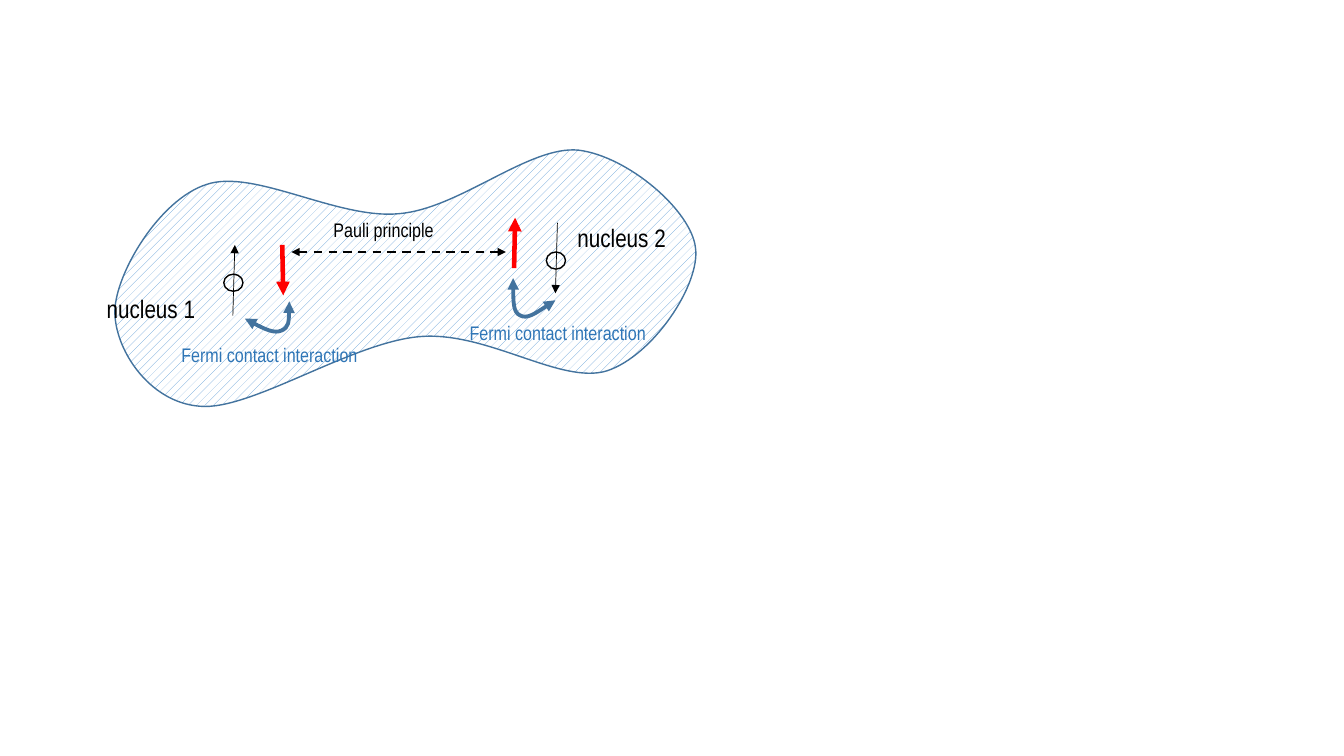
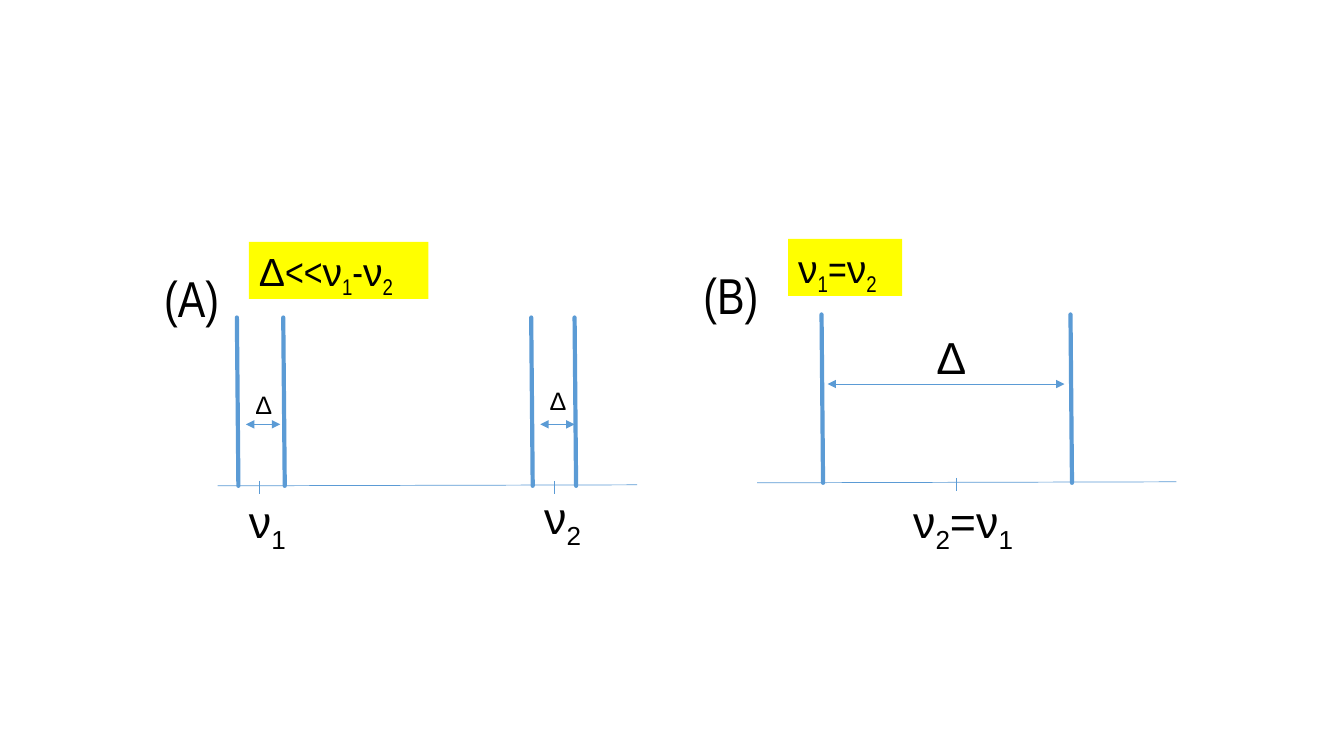
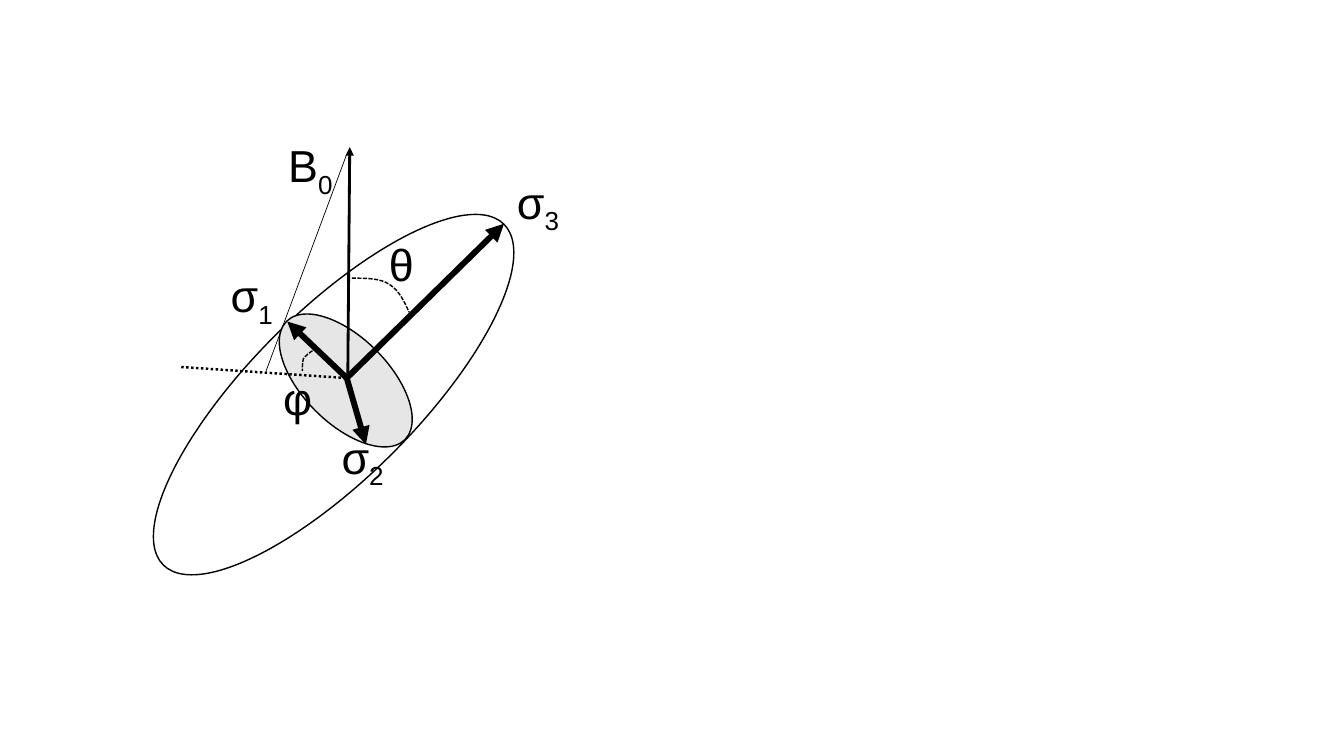
from lxml.etree import SubElement
from pptx import Presentation
from pptx.dml.color import RGBColor
from pptx.enum.dml import MSO_LINE, MSO_PATTERN
from pptx.enum.shapes import MSO_CONNECTOR, MSO_SHAPE
from pptx.enum.text import MSO_AUTO_SIZE
from pptx.oxml.ns import qn
from pptx.util import Inches, Pt

BLACK = RGBColor(0x00, 0x00, 0x00)
WHITE = RGBColor(0xFF, 0xFF, 0xFF)
RED = RGBColor(0xFF, 0x00, 0x00)
BLUE = RGBColor(0x5B, 0x9B, 0xD5)
STEEL = RGBColor(0x43, 0x73, 0x9E)
OCEAN = RGBColor(0x2E, 0x75, 0xB6)
YELLOW = RGBColor(0xFF, 0xFF, 0x00)
GREY = RGBColor(0xE7, 0xE6, 0xE6)

SANS = "Arial"
SLIM = "Arial Narrow"


def cell(count):
    """Length of grid cells; one cell is a tenth of an inch."""
    return Inches(count / 10)


def low(text, font=SANS):
    """A subscript run."""
    return text, font, True


class Deck:
    def __init__(self):
        self.prs = Presentation()
        self.prs.slide_width = cell(133.33)
        self.prs.slide_height = cell(75)

    def page(self):
        blank = self.prs.slide_layouts[6]
        self.shapes = self.prs.slides.add_slide(blank).shapes

    def pen(self, line, color, width, dash=None, ends="", cap="flat"):
        """Format an outline; ends names the arrowheads."""
        line.fill.solid()
        line.fill.fore_color.rgb = color
        line.width = Pt(width)
        if dash:
            line.dash_style = dash
        form = line._get_or_add_ln()
        form.set("cap", cap)
        for end in ends.split():
            SubElement(form, qn(f"a:{end}End"), type="triangle")

    def line(self, x1, y1, x2, y2, color=BLACK, width=0.5, **style):
        item = self.shapes.add_connector(
            MSO_CONNECTOR.STRAIGHT, cell(x1), cell(y1), cell(x2), cell(y2))
        self.pen(item.line, color, width, **style)
        SubElement(item._element.spPr, qn("a:effectLst"))

    def oval(self, x, y, w, h, turn=0, fill=None):
        item = self.shapes.add_shape(
            MSO_SHAPE.OVAL, cell(x), cell(y), cell(w), cell(h))
        item.shadow.inherit = False
        item.rotation = turn
        if fill:
            item.fill.solid()
            item.fill.fore_color.rgb = fill
        else:
            item.fill.background()
        self.pen(item.line, BLACK, 1)

    def curve(self, knots, color, width, close=False, **style):
        """Knots are a start, then two handles and an end for each arc."""
        dots = [(cell(x), cell(y)) for x, y in knots]
        path = self.shapes.build_freeform(*dots[0])
        path.add_line_segments(dots[3::3], close=close)
        item = path.convert_to_shape()
        # Bend each straight segment with its two handles
        for i, part in enumerate(list(item._element.iter(qn("a:lnTo")))):
            part.tag = qn("a:cubicBezTo")
            for n, (x, y) in enumerate(dots[3 * i + 1:3 * i + 3]):
                grip = SubElement(part, qn("a:pt"),
                                  x=str(x - item.left), y=str(y - item.top))
                part.insert(n, grip)
        item.shadow.inherit = False
        item.fill.background()
        self.pen(item.line, color, width, **style)
        return item

    def text(self, x, y, w, size, *runs, color=BLACK, wrap=False, fill=None):
        """Runs are (text, font) pairs or subscripts; size sets the height."""
        item = self.shapes.add_textbox(cell(x), cell(y), cell(w), cell(size / 6 + 1))
        if fill:
            item.fill.solid()
            item.fill.fore_color.rgb = fill
        frame = item.text_frame
        frame.word_wrap = wrap
        frame.auto_size = MSO_AUTO_SIZE.SHAPE_TO_FIT_TEXT
        for words, font, *sub in runs:
            run = frame.paragraphs[0].add_run()
            run.text = words
            run.font.name = font
            run.font.size = Pt(size)
            run.font.color.rgb = color
            if sub:
                run._r.get_or_add_rPr().set("baseline", "-25000")

    # Parts of the drawings
    def spin(self, x, y, way):
        """A nucleus with its spin: way is 1 for up, -1 for down."""
        self.line(x - 0.1 * way, y + 3.5 * way, x + 0.1 * way, y - 3.5 * way,
                  ends="tail")
        self.oval(x - 1, y - 0.6, 1.9, 1.7)

    def panel(self, x, y, mark, width, rule, peaks, ticks):
        """A spectrum whose axis starts at x, y; the rest is relative."""
        self.line(x, y, x + 41.6, y - 0.1, BLUE)
        for dx in peaks:
            self.line(x + dx, y - 16.7, x + dx + 0.15, y, BLUE, 3, cap="rnd")
        for dx in ticks:
            self.line(x + dx, y - 0.5, x + dx, y + 0.8, BLUE)
        self.text(x - 6.3, y - 22.2, 8.8, 36, (mark, SLIM))
        self.text(x + 3.1, y - 24.2, width, 28, *rule, wrap=True, fill=YELLOW)

    def gap(self, x1, x2, y):
        self.line(x1, y, x2, y, BLUE, ends="head tail")


def pauli(deck):
    deck.page()
    # Electron cloud
    cloud = deck.curve(
        [(57.4, 14.9), (62.3, 15.5), (68.6, 20.9), (69, 24.6),
         (69.5, 28.2), (64.8, 35.3), (60.2, 36.8),
         (55.6, 38.2), (48.3, 32.8), (41.6, 33.4),
         (34.8, 34), (24.8, 40.8), (19.8, 40.3),
         (14.7, 39.9), (11.3, 34.5), (11.4, 30.8),
         (11.5, 27.1), (15.8, 19.8), (20.5, 18.3),
         (25.2, 16.7), (33.5, 21.8), (39.6, 21.2),
         (45.6, 20.7), (52.5, 14.4), (57.4, 14.9)], STEEL, 1, close=True)
    cloud.fill.patterned()
    cloud.fill.pattern = MSO_PATTERN.PERCENT_20
    cloud.fill.fore_color.rgb = BLUE
    cloud.fill.back_color.rgb = WHITE
    # Nuclei and electrons
    deck.spin(23.2, 27.8, 1)
    deck.spin(55.2, 25.6, -1)
    for x, y, name in ((9.6, 28.6, "nucleus 1"), (56.3, 21.6, "nucleus 2")):
        deck.text(x, y, 12.8, 18, (name, SLIM))
    for x, y, end in ((51, 26.6, 21.6), (28, 24.3, 29.3)):
        deck.line(x, y, x + 0.1, end, RED, 3.25, ends="tail")
    # Interactions
    deck.line(28.9, 25, 50.2, 25, width=1.5, dash=MSO_LINE.DASH, ends="head tail")
    for knots in (
            [(24.3, 31.6), (25.7, 32.4), (27.2, 33.1), (27.9, 32.8),
             (28.7, 32.5), (28.7, 31.2), (28.7, 29.9)],
            [(55.1, 29.8), (53.7, 30.7), (52.3, 31.7), (51.6, 31.3),
             (50.9, 31), (50.9, 29.3), (50.9, 27.6)]):
        deck.curve(knots, STEEL, 2.75, ends="head tail")
    for x, y in ((17, 33.5), (45.6, 31.3)):
        deck.text(x, y, 23.8, 14, ("Fermi contact interaction", SLIM),
                  color=OCEAN, wrap=True)
    deck.text(32.1, 21.1, 15.6, 14, ("Pauli principle", SLIM), wrap=True)


def spectra(deck):
    deck.page()
    nu = ("ν", SANS)
    one, two = low("1", SLIM), low("2", SLIM)
    # Weak coupling
    deck.panel(21.6, 48.2, "(A)", 17.8,
               [("Δ", SANS), ("<<", SLIM), nu, one, ("-", SLIM), nu, two],
               peaks=(1.9, 6.5, 31.1, 35.4), ticks=(4.1, 33.4))
    for x, y, foot, top, num in ((24.4, 38.1, 23.7, 48.5, "1"),
                                 (53.6, 37.7, 53, 48.1, "2")):
        deck.gap(x, x + 3.4, 42.1)
        deck.text(x - 0.05, y, 3.6, 18, ("Δ", SANS))
        deck.text(foot, top, 5.8, 32, nu, low(num))
    # Equal frequencies
    deck.panel(75.1, 47.9, "(B)", 11.3, [nu, one, ("=", SLIM), nu, two],
               peaks=(6.4, 31.1), ticks=(19.8,))
    deck.gap(82.1, 105.6, 38.1)
    deck.text(91.9, 32.2, 4.8, 32, ("Δ", SANS))
    deck.text(89.6, 48.5, 14.2, 32, nu, low("2"), ("=ν", SANS), low("1"), wrap=True)


def tensor(deck):
    deck.page()
    # Ellipsoid and its section
    deck.oval(9.2, 30.9, 47.8, 16.5, 315)
    deck.oval(26, 33.5, 16.6, 8.5, 45, GREY)
    # Axes and field
    for x, y in ((28.5, 31.9), (36.3, 44.1), (50, 22.2)):
        deck.line(34.4, 37.5, x, y, width=4.25, ends="tail")
    deck.line(34.5, 37.6, 34.7, 14.6, width=2, ends="tail")
    deck.line(34.3, 37.5, 17.8, 36.4, width=1.75, dash=MSO_LINE.ROUND_DOT)
    deck.line(34.4, 15.3, 26.4, 36.8)
    # Angles
    for knots in (
            [(34.9, 27.6), (36.3, 27.6), (37.7, 27.6), (38.6, 28.2),
             (39.6, 28.8), (40.1, 29.9), (40.6, 31)],
            [(31, 34.8), (30.7, 35), (30.3, 35.3), (30.1, 35.6),
             (30, 36), (30, 36.4), (30, 36.8)]):
        deck.curve(knots, BLACK, 1, dash=MSO_LINE.SQUARE_DOT)
    # Names
    for x, y, w, sign, num in (
            (27.6, 13.2, 6.7, "B", "0"), (50.3, 16.8, 6.4, "σ", "3"),
            (21.9, 26.1, 6.4, "σ", "1"), (32.9, 42.1, 6.4, "σ", "2")):
        deck.text(x, y, w, 32, (sign, SANS), low(num))
    for x, y, sign in ((37.6, 23, "θ"), (27.1, 36.3, "φ")):
        deck.text(x, y, 4.4, 32, (sign, SANS))


def main():
    deck = Deck()
    for draw in (pauli, spectra, tensor):
        draw(deck)
    deck.prs.save("out.pptx")


if __name__ == "__main__":
    main()
